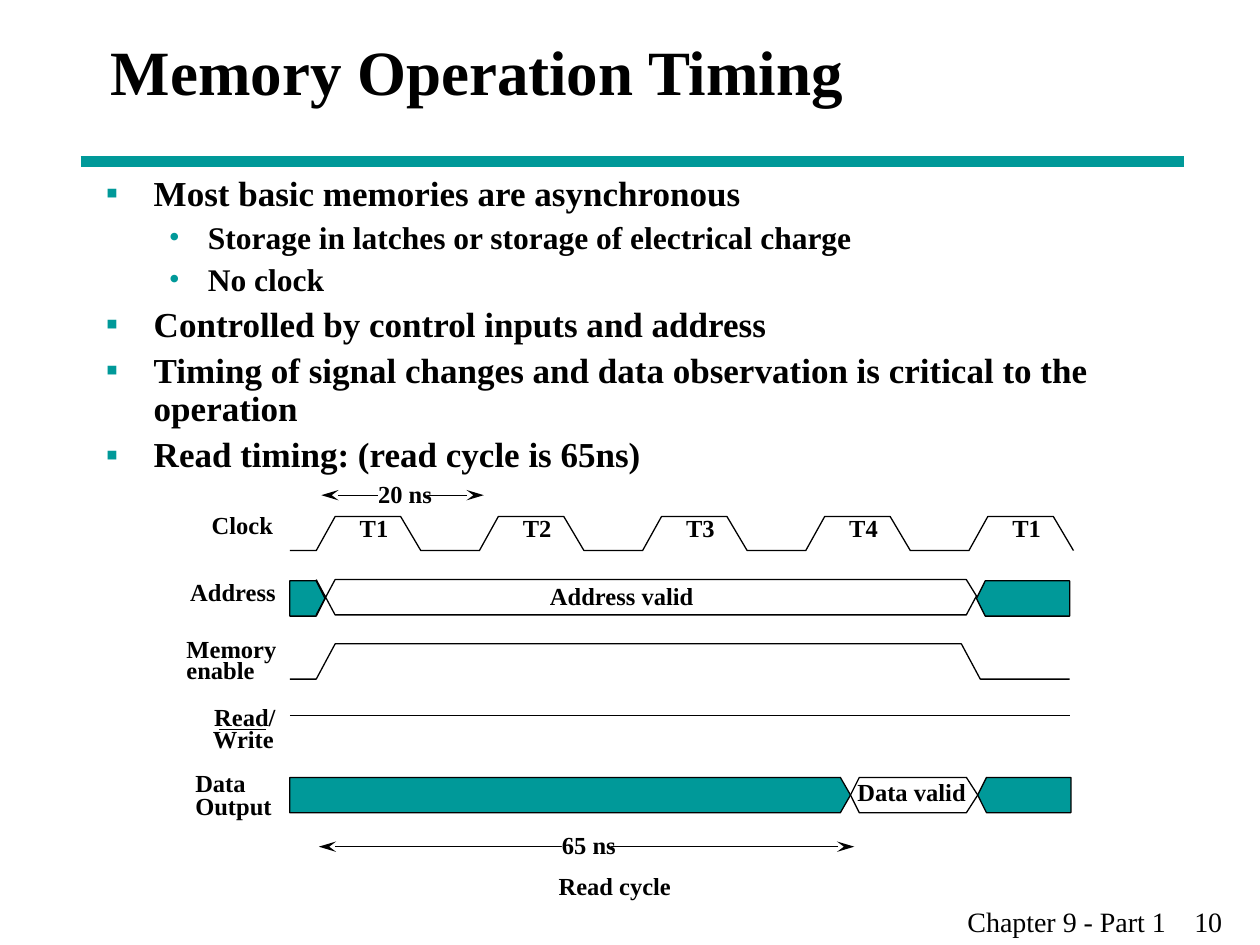
from dataclasses import dataclass

from lxml import etree
from pptx import Presentation
from pptx.dml.color import RGBColor
from pptx.enum.shapes import MSO_CONNECTOR, MSO_SHAPE
from pptx.enum.text import MSO_ANCHOR, MSO_AUTO_SIZE, PP_ALIGN
from pptx.oxml.ns import qn
from pptx.util import Inches, Pt

LEFT, MID = PP_ALIGN.LEFT, PP_ALIGN.CENTER
MIDDLE, TOP = MSO_ANCHOR.MIDDLE, MSO_ANCHOR.TOP
FIXED = MSO_AUTO_SIZE.NONE
STRAIGHT, RECT = MSO_CONNECTOR.STRAIGHT, MSO_SHAPE.RECTANGLE


@dataclass(frozen=True)
class Theme:
    """Colours, type sizes and grid of the slide."""
    ink: RGBColor = RGBColor(0, 0, 0)
    teal: RGBColor = RGBColor(0, 0x99, 0x99)
    paper: RGBColor = RGBColor(255, 255, 255)
    face: str = "Times New Roman"
    title: float = 36
    points: tuple = (20, 18)
    foot: float = 16
    label: float = 14
    thin: float = 0.75
    thick: float = 6
    cell: float = 0.1


THEME = Theme()
START, END = 23, 84.9
HIGH = 2.8
PERIOD = 12.95

POINTS = [
    (0, "Most basic memories are asynchronous"),
    (1, "Storage in latches or storage of electrical charge"),
    (1, "No clock"),
    (0, "Controlled by control inputs and address"),
    (0, "Timing of signal changes and data observation is critical to the operation"),
    (0, "Read timing: (read cycle is 65ns)"),
]
BULLETS = [("▪", 0.38, 0.38, 5), ("•", 0.81, 0.31, 4.5)]
LABELS = [
    ("Clock", 16.8, 40.5, 5.5), ("Address", 15.1, 45.8, 8),
    ("Memory", 14.8, 50.3, 8.2), ("enable", 14.8, 52, 6.7),
    ("Read/", 17, 55.7, 5.5), ("Write", 16.9, 57.5, 5.7),
]
CENTRED = [
    ("Address valid", 42.6, 46.1, 13.5), ("Data valid", 67.3, 61.7, 10.1),
    ("Read cycle", 43.6, 69.1, 10.4),
]
SPANS = [("20 ns", 25.5, 38.4, 39.3, 30), ("65 ns", 25.3, 67.8, 67.2, 44.6)]
BARS = [
    (START, 25.8, 46.1, 0, 0.7, True), (77.5, END, 46.1, 0.7, 0, True),
    (START, 67.5, 61.7, 0, 0.8, True), (67.5, 77.6, 61.7, 0.7, 0.9, False),
    (77.6, 85, 61.7, 0.7, 0, True),
]


def grid(*cells):
    """Turn grid columns and rows into slide lengths."""
    return [Inches(cell * THEME.cell) for cell in cells]


def put(thing, **values):
    """Set each named value on an object."""
    for name, value in values.items():
        setattr(thing, name, value)


def style(para, size, bold=True, **values):
    """Format a paragraph and its font."""
    put(para, **values)
    put(para.font, name=THEME.face, size=Pt(size), bold=bold)
    para.font.color.rgb = THEME.ink


def mark(para, sign, indent, hang):
    """Give a paragraph a coloured bullet and a hanging indent."""
    props = para._p.get_or_add_pPr()
    props.set("marL", str(Inches(indent)))
    props.set("indent", str(-Inches(hang)))
    tint = etree.SubElement(props, qn("a:buClr"))
    etree.SubElement(tint, qn("a:srgbClr"), val=str(THEME.teal))
    etree.SubElement(props, qn("a:buFont"), typeface=THEME.face)
    etree.SubElement(props, qn("a:buChar"), char=sign)


def head(slide):
    """Fill the title placeholder."""
    title = slide.shapes.title
    put(title, **dict(zip(("left", "top", "width", "height"), grid(7.8, 0, 85, 11.2))))
    frame = title.text_frame
    put(frame, text="Memory Operation Timing", auto_size=FIXED, vertical_anchor=MIDDLE)
    style(frame.paragraphs[0], THEME.title, alignment=LEFT)


def body(slide):
    """Fill the body placeholder with the bulleted list."""
    box = slide.placeholders[1]
    put(box, **dict(zip(("left", "top", "width", "height"), grid(7.4, 13.5, 89.2, 51.7))))
    frame = box.text_frame
    put(frame, text="\n".join(text for _, text in POINTS),
        auto_size=FIXED, vertical_anchor=TOP)
    for para, (level, _) in zip(frame.paragraphs, POINTS):
        sign, indent, hang, gap = BULLETS[level]
        style(para, THEME.points[level], level=level, alignment=LEFT,
              line_spacing=0.9, space_before=Pt(gap))
        mark(para, sign, indent, hang)


def label(slide, text, left, top, width, height=2.3, **values):
    """Add a small bold label without margins."""
    frame = slide.shapes.add_textbox(*grid(left, top, width, height)).text_frame
    put(frame, text=text, word_wrap=False, margin_left=0, margin_top=0,
        margin_right=0, margin_bottom=0)
    for para in frame.paragraphs:
        style(para, THEME.label, **values)


def foot(slide):
    """Add the chapter name and page number, set apart by a tab stop."""
    frame = slide.shapes.add_textbox(*grid(75.8, 71.3, 24.2, 3.7)).text_frame
    put(frame, text="Chapter 9 - Part 1\t10", word_wrap=True)
    para = frame.paragraphs[0]
    style(para, THEME.foot, bold=False)
    tabs = etree.SubElement(para._p.get_or_add_pPr(), qn("a:tabLst"))
    etree.SubElement(tabs, qn("a:tab"), pos=str(Inches(1.8)), algn="l")


def rule(slide, left, right, row, color=THEME.ink, width=THEME.thin, arrows=False):
    """Draw a level line, with arrowheads if asked."""
    line = slide.shapes.add_connector(STRAIGHT, *grid(left, row, right, row))
    line.line.color.rgb = color
    line.line.width = Pt(width)
    if arrows:
        for end in ("a:headEnd", "a:tailEnd"):
            etree.SubElement(line.line._get_or_add_ln(), qn(end),
                             type="stealth", w="med", len="lg")
    etree.SubElement(line._element.spPr, qn("a:effectLst"))


def trace(slide, spots, close=False, fill=False):
    """Draw an outline through grid spots."""
    first, *rest = [tuple(grid(*spot)) for spot in spots]
    pen = slide.shapes.build_freeform(*first)
    pen.add_line_segments(rest, close=close)
    shape = pen.convert_to_shape()
    shape.shadow.inherit = False
    if fill:
        shape.fill.solid()
        shape.fill.fore_color.rgb = THEME.teal
    else:
        shape.fill.background()
    shape.line.color.rgb = THEME.ink
    shape.line.width = Pt(THEME.thin)


def bar(slide, left, right, top, near, far, fill):
    """Draw a bus bar whose ends taper by near and far."""
    mid, low = top + HIGH / 2, top + HIGH
    trace(slide, [(left + near, top), (right - far, top), (right, mid),
                  (right - far, low), (left + near, low), (left, mid)], True, fill)


def span(slide, text, left, right, row, gap):
    """Draw a time span with its length set in a gap."""
    rule(slide, left, right, row, arrows=True)
    patch = slide.shapes.add_shape(RECT, *grid(gap, row - 0.8, 3.9, 1.6))
    patch.shadow.inherit = False
    patch.fill.solid()
    patch.fill.fore_color.rgb = THEME.paper
    patch.line.fill.background()
    label(slide, text, gap, row - 1.3, 4.9)


def clock(slide):
    """Draw the clock wave and name its periods."""
    top, low = 41, 43.7
    spots = [(START, low)]
    for turn, name in enumerate(("T1", "T2", "T3", "T4", "T1")):
        left = 25.1 + turn * PERIOD
        spots += [(left, low), (left + 1.5, top), (left + 6.7, top), (left + 8.3, low)]
        label(slide, name, left + 3.45, 40.7, 2.4)
    trace(slide, spots)


def chart(slide):
    """Draw the timing diagram."""
    for item in LABELS:
        label(slide, *item)
    label(slide, "Data\nOutput", 15.5, 61.4, 7, 3.7, line_spacing=0.8)
    rule(slide, 17.4, 21.1, 57.9)
    clock(slide)
    trace(slide, [(START, 53.9), (25.1, 53.9), (26.6, 51.1),
                  (76.3, 51.1), (77.8, 53.9), (END, 53.9)])
    rule(slide, START, END, 56.8)
    for item in BARS:
        bar(slide, *item)
    trace(slide, [(25.1, 48.8), (26.6, 46), (76.7, 46), (77.5, 47.3),
                  (76.7, 48.8), (26.6, 48.8), (25.1, 46)])
    for item in SPANS:
        span(slide, *item)
    for item in CENTRED:
        label(slide, *item, alignment=MID)


def main():
    """Build and save the slide."""
    deck = Presentation()
    deck.slide_width, deck.slide_height = grid(100, 75)
    slide = deck.slides.add_slide(deck.slide_layouts[1])
    rule(slide, 6.4, 94, 12.8, THEME.teal, THEME.thick)
    foot(slide)
    head(slide)
    body(slide)
    chart(slide)
    deck.save("out.pptx")


if __name__ == "__main__":
    main()
